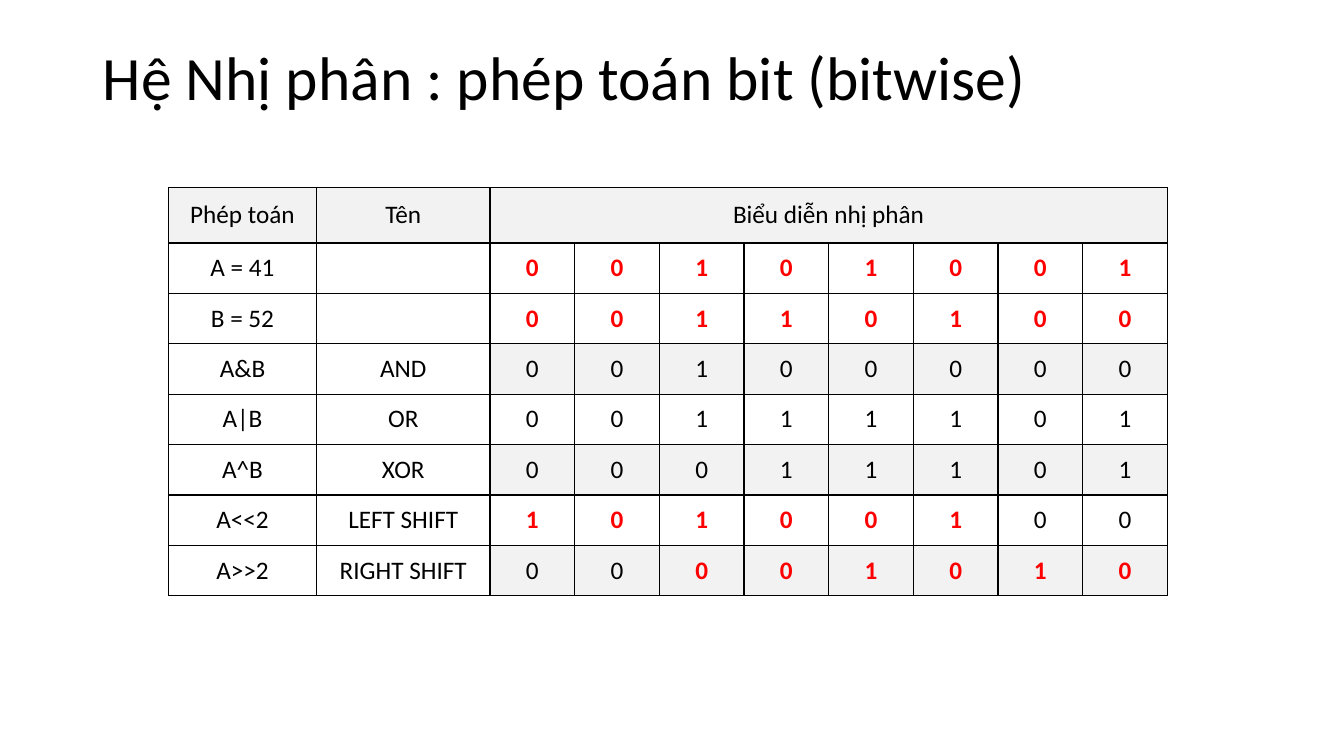
from lxml import etree
from pptx import Presentation
from pptx.dml.color import RGBColor
from pptx.enum.text import MSO_ANCHOR, PP_ALIGN
from pptx.oxml.ns import qn
from pptx.util import Inches, Pt

LEFT, CENTER = PP_ALIGN.LEFT, PP_ALIGN.CENTER
MIDDLE = MSO_ANCHOR.MIDDLE
TITLE_ONLY = 5

COLORS = {"text": "000000", "bit": "FF0000", "shade": "F2F2F2",
          "plain": "FFFFFF", "border": "000000"}

HEADERS = ["Phép toán", "Tên", "Biểu diễn nhị phân"]
# Operation, name, bits, and the range of bits to highlight
OPERATIONS = [
    ("A = 41", "", "00101001", range(8)),
    ("B = 52", "", "00110100", range(8)),
    ("A&B", "AND", "00100000", range(0)),
    ("A|B", "OR", "00111101", range(0)),
    ("A^B", "XOR", "00011101", range(0)),
    ("A<<2", "LEFT SHIFT", "10100100", range(6)),
    ("A>>2", "RIGHT SHIFT", "00001010", range(2, 8)),
]
LABEL_COLUMNS = 2
COLUMN_WIDTHS = [1.47, 1.72] + [0.84] * 8
ROW_HEIGHTS = [0.55] + [0.5] * len(OPERATIONS)


class SlideBuilder:
    font = "Calibri"
    title_size = 44
    cell_size = 18

    def __init__(self, page):
        self.page = page

    def format_text(self, para, size, align, color="text", bold=False):
        para.alignment = align
        for span in para.runs:
            span.font.name = self.font
            span.font.size = Pt(size)
            span.font.bold = bold
            span.font.color.rgb = RGBColor.from_string(COLORS[color])

    def title(self, text, left, top, width, height):
        box = self.page.shapes.title
        box.left, box.top = Inches(left), Inches(top)
        box.width, box.height = Inches(width), Inches(height)
        frame = box.text_frame
        frame.text = text
        frame.vertical_anchor = MIDDLE
        para = frame.paragraphs[0]
        para.line_spacing = 0.9
        self.format_text(para, self.title_size, LEFT)

    def table(self, left, top, widths, heights):
        table = self.page.shapes.add_table(
            len(heights), len(widths), Inches(left), Inches(top),
            Inches(sum(widths)), Inches(sum(heights))).table
        table.first_row = table.horz_banding = False
        for column, width in zip(table.columns, widths):
            column.width = Inches(width)
        for row, height in zip(table.rows, heights):
            row.height = Inches(height)
        return table

    def cell(self, cell, text, fill, color="text", bold=False):
        cell.text = text
        cell.vertical_anchor = MIDDLE
        self.format_text(cell.text_frame.paragraphs[0], self.cell_size,
                         CENTER, color, bold)
        self.borders(cell)
        cell.fill.solid()
        cell.fill.fore_color.rgb = RGBColor.from_string(COLORS[fill])

    def borders(self, cell):
        properties = cell._tc.get_or_add_tcPr()
        for side in ("a:lnL", "a:lnR", "a:lnT", "a:lnB"):
            line = etree.SubElement(properties, qn(side), w=str(Pt(1)))
            solid = etree.SubElement(line, qn("a:solidFill"))
            etree.SubElement(solid, qn("a:srgbClr"), val=COLORS["border"])


def main():
    deck = Presentation()
    deck.slide_width, deck.slide_height = Inches(13.33), Inches(7.5)
    page = deck.slides.add_slide(deck.slide_layouts[TITLE_ONLY])
    builder = SlideBuilder(page)

    # Title
    builder.title("Hệ Nhị phân : phép toán bit (bitwise)", 0.92, 0.21, 11.5, 1.18)

    # Table header, with the last heading across all bit columns
    table = builder.table(1.67, 1.86, COLUMN_WIDTHS, ROW_HEIGHTS)
    last = len(COLUMN_WIDTHS) - 1
    table.cell(0, LABEL_COLUMNS).merge(table.cell(0, last))
    for column in range(last + 1):
        text = HEADERS[column] if column < len(HEADERS) else ""
        builder.cell(table.cell(0, column), text, "shade")

    # One row per operation; bits shaded on every second row from A&B on
    for row, (operation, name, bits, marked) in enumerate(OPERATIONS, start=1):
        for column, label in enumerate((operation, name)):
            builder.cell(table.cell(row, column), label, "plain")
        fill = "shade" if row >= 3 and row % 2 else "plain"
        for place, bit in enumerate(bits):
            highlight = place in marked
            builder.cell(table.cell(row, LABEL_COLUMNS + place), bit, fill,
                         "bit" if highlight else "text", highlight)

    deck.save("out.pptx")


if __name__ == "__main__":
    main()
